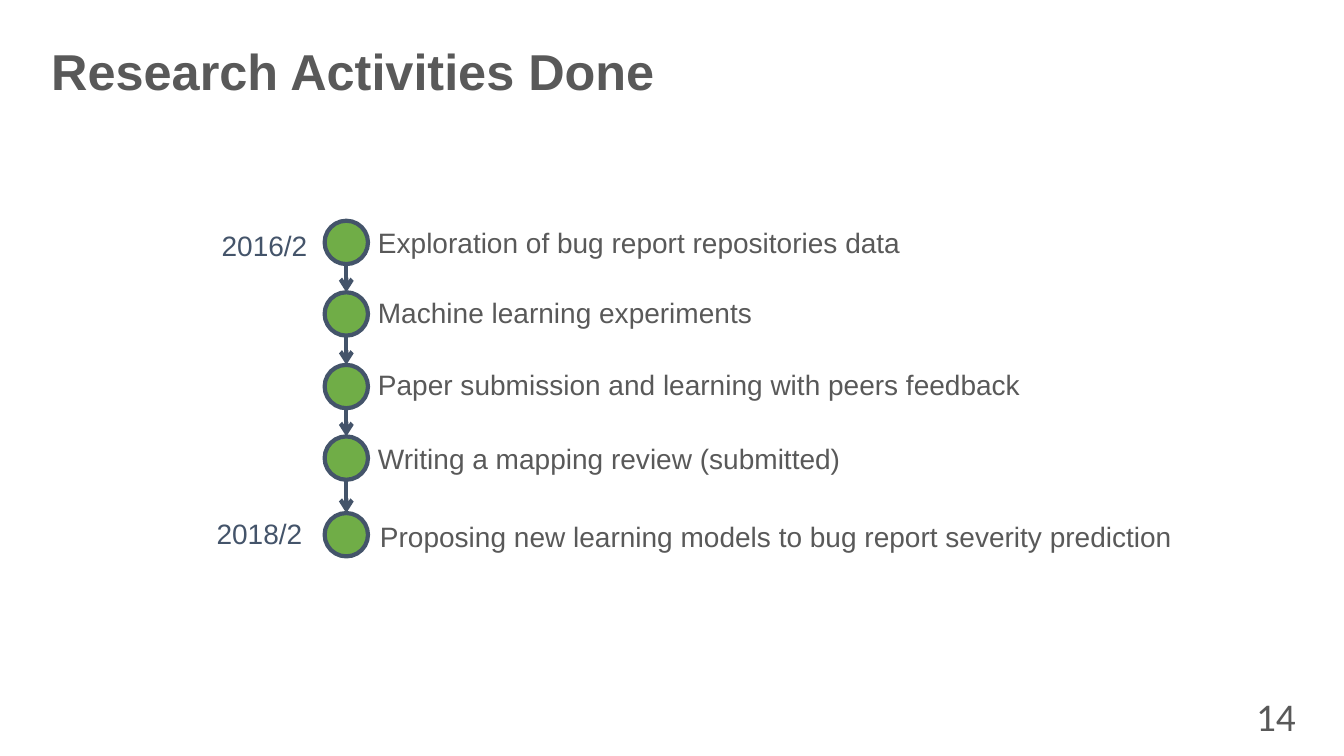
from itertools import pairwise

from lxml.etree import SubElement
from pptx import Presentation
from pptx.dml.color import RGBColor
from pptx.enum.shapes import MSO_CONNECTOR, MSO_SHAPE
from pptx.enum.text import MSO_ANCHOR, MSO_AUTO_SIZE, PP_ALIGN
from pptx.oxml.ns import qn
from pptx.util import Inches, Pt

GREY = RGBColor(0x59, 0x59, 0x59)
NAVY = RGBColor(0x44, 0x54, 0x6A)
GREEN = RGBColor(0x70, 0xAD, 0x47)
WHITE = RGBColor(0xFF, 0xFF, 0xFF)

DOT_LEFT = 3.22
DOT_SIZE = 0.43
LABEL_HEIGHT = 0.44

ACTIVITIES = [
    ("Exploration of bug report repositories data", 2.19, 3.65, 2.19, 5.42),
    ("Machine learning experiments", 2.9, 3.65, 2.88, 3.94),
    ("Paper submission and learning with peers feedback", 3.62, 3.65, 3.6, 6.84),
    ("Writing a mapping review (submitted)", 4.33, 3.65, 4.33, 4.9),
    ("Proposing new learning models to bug report severity prediction", 5.09, 3.67, 5.1, 8.24),
]
DATES = [("2016/2", 2.1, 2.22), ("2018/2", 2.05, 5.08)]


def write_text(frame, text, *, size=20, font="Arial", color=GREY, bold=False,
               align=PP_ALIGN.LEFT, anchor=MSO_ANCHOR.TOP, spacing=1.0):
    frame.vertical_anchor = anchor
    paragraph = frame.paragraphs[0]
    paragraph.alignment = align
    paragraph.line_spacing = spacing
    run = paragraph.add_run()
    run.text = text
    run.font.size = Pt(size)
    run.font.name = font
    run.font.bold = bold
    run.font.color.rgb = color


class TimelineSlide:
    def __init__(self, slide, line_width=3):
        self.slide = slide
        self.line_width = Pt(line_width)
        slide.background.fill.solid()
        slide.background.fill.fore_color.rgb = WHITE

    def text(self, text, left, top, width, height, wrap=True, grow=False, **style):
        box = self.slide.shapes.add_textbox(
            Inches(left), Inches(top), Inches(width), Inches(height))
        box.text_frame.word_wrap = wrap
        box.text_frame.auto_size = (
            MSO_AUTO_SIZE.SHAPE_TO_FIT_TEXT if grow else MSO_AUTO_SIZE.NONE)
        write_text(box.text_frame, text, **style)

    def label(self, text, left, top, width, **style):
        self.text(text, left, top, width, LABEL_HEIGHT, wrap=False, grow=True, **style)

    def dot(self, top):
        dot = self.slide.shapes.add_shape(
            MSO_SHAPE.OVAL, Inches(DOT_LEFT), Inches(top), Inches(DOT_SIZE), Inches(DOT_SIZE))
        dot.shadow.inherit = False
        dot.fill.solid()
        dot.fill.fore_color.rgb = GREEN
        dot.line.color.rgb = NAVY
        dot.line.width = self.line_width
        return dot

    def arrow(self, upper, lower):
        center = upper.left + upper.width // 2
        arrow = self.slide.shapes.add_connector(
            MSO_CONNECTOR.STRAIGHT, center, upper.top + upper.height, center, lower.top)
        arrow.line.color.rgb = NAVY
        arrow.line.width = self.line_width
        line_properties = arrow._element.spPr.find(qn("a:ln"))
        SubElement(line_properties, qn("a:tailEnd"), type="arrow")
        SubElement(arrow._element.spPr, qn("a:effectLst"))


def main():
    presentation = Presentation()
    presentation.slide_width = Inches(13.33)
    presentation.slide_height = Inches(7.5)
    timeline = TimelineSlide(presentation.slides.add_slide(presentation.slide_layouts[6]))

    timeline.text("Research Activities Done", 0.41, 0.4, 12.01, 0.67,
                  size=36, bold=True, anchor=MSO_ANCHOR.MIDDLE, spacing=0.9)

    dots = []
    for activity, dot_top, left, top, width in ACTIVITIES:
        dots.append(timeline.dot(dot_top))
        timeline.label(activity, left, top, width)
    for upper, lower in pairwise(dots):
        timeline.arrow(upper, lower)
    for date, left, top in DATES:
        timeline.label(date, left, top, 1.07, color=NAVY)

    timeline.text("14", 11.91, 6.9, 1.04, 0.4, size=28, font="Calibri",
                  align=PP_ALIGN.RIGHT, anchor=MSO_ANCHOR.MIDDLE)
    presentation.save("out.pptx")


if __name__ == "__main__":
    main()
